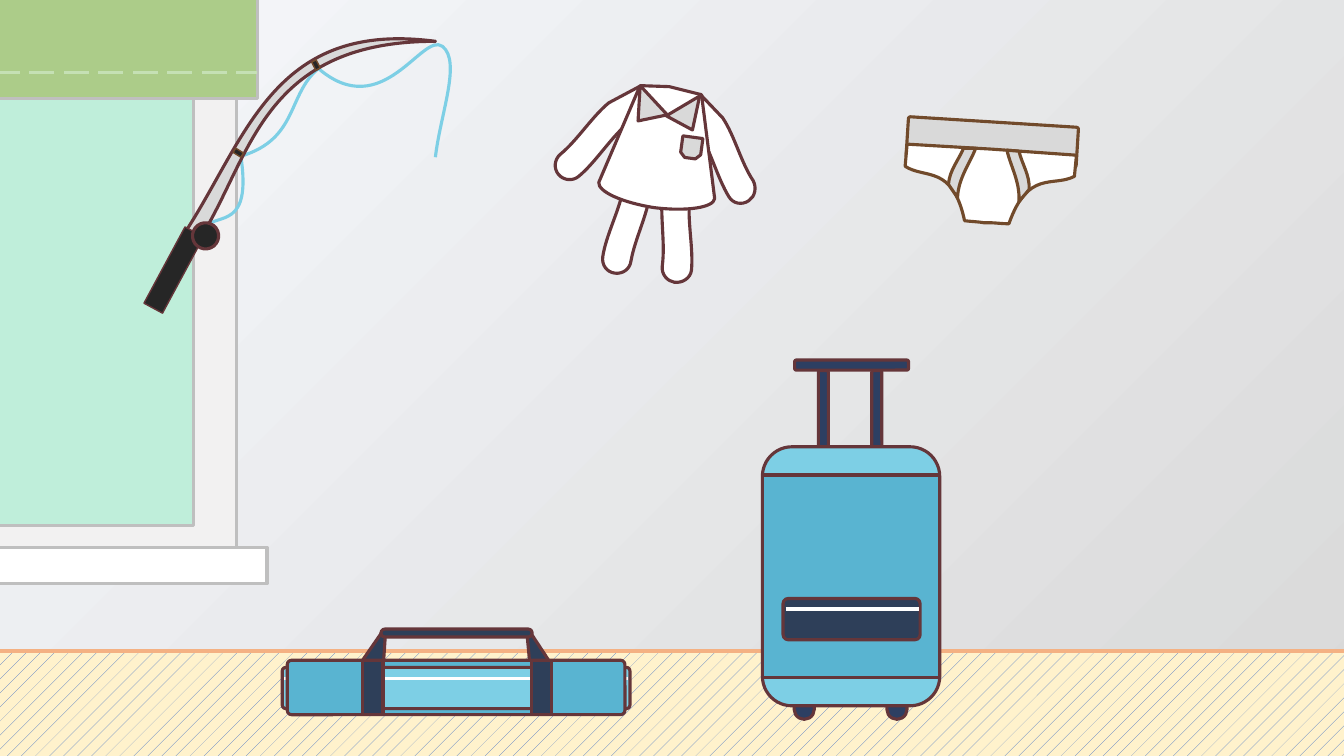
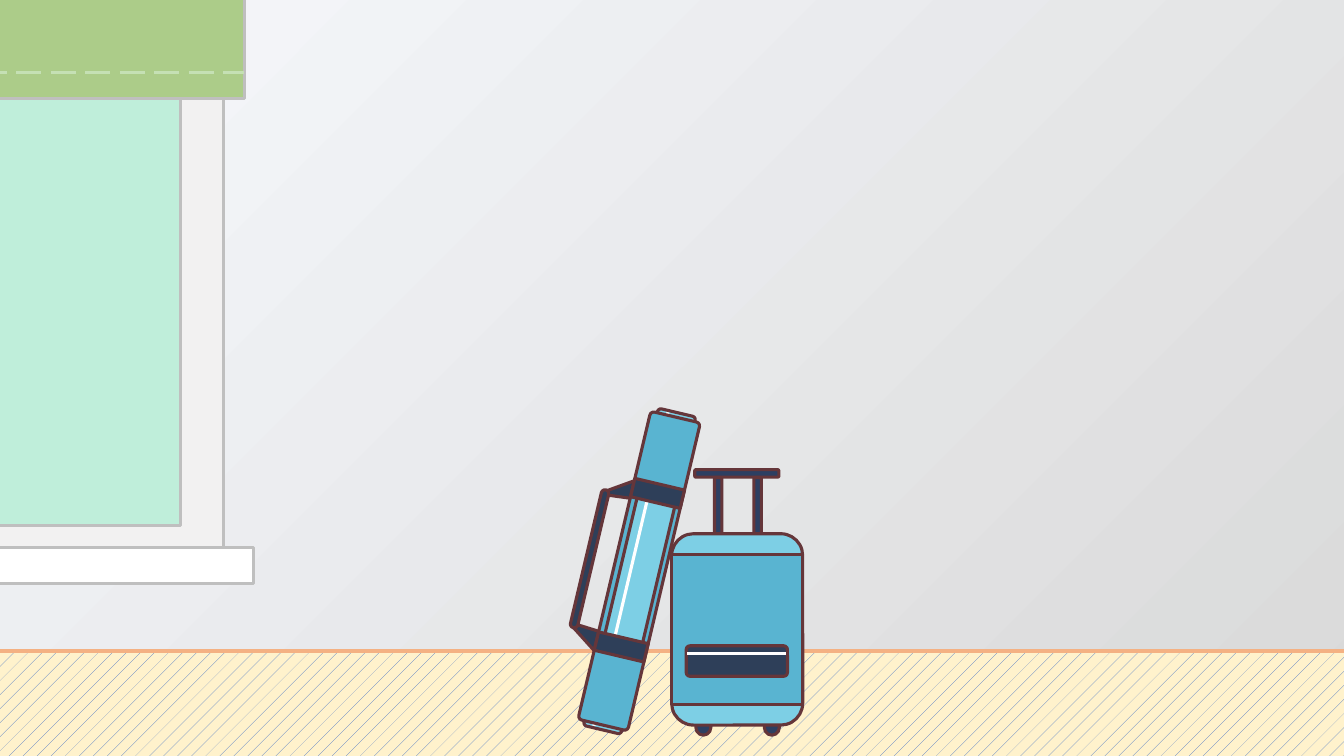
from math import cos, radians, sin

from lxml import etree
from pptx import Presentation
from pptx.dml.color import RGBColor
from pptx.enum import dml, shapes
from pptx.oxml.ns import qn
from pptx.util import Pt

KIND = shapes.MSO_SHAPE


class Theme:
    light, grey = "F6F8FC", "D9D9D9"
    trim, frame, glass = "BFBFBF", "F2F1F1", "BFEEDA"
    blind, stitch = "ACCC89", "C5E0B4"
    sand, speck, skirt = "FFF2CC", "4472C4", "F4B183"
    white, black = "FFFFFF", "262626"
    maroon, brown = "65363A", "714A2B"
    sky, blue, navy, indigo = "7DCFE5", "59B4D1", "2E3F59", "2D3F62"
    thin, pen, bold = 1, 2.25, 3


def rgb(code):
    return RGBColor.from_string(code)


class Art:
    """A group drawn in grid units; view is fitted to box, then turned."""

    def __init__(self, slide, box, view, ink, turn=0, flip=False):
        x, y, w, h = box
        gx, gy, gw, gh = view
        self.group = slide.shapes.add_group_shape().shapes
        self.mid = x + w / 2, y + h / 2
        self.hub = gx + gw / 2, gy + gh / 2
        self.unit, self.ink, self.turn = w / gw, ink, turn
        self.side = -1 if flip else 1

    def spot(self, x, y):
        """Slide position, in points, of a grid point."""
        dx = (x - self.hub[0]) * self.unit * self.side
        dy = (y - self.hub[1]) * self.unit
        c, s = cos(radians(self.turn)), sin(radians(self.turn))
        return self.mid[0] + dx * c - dy * s, self.mid[1] + dx * s + dy * c

    def dress(self, item, fill, width=Theme.pen, ink=None):
        item.shadow.inherit = False
        if fill:
            item.fill.solid()
            item.fill.fore_color.rgb = rgb(fill)
        else:
            item.fill.background()
        item.line.color.rgb = rgb(ink or self.ink)
        item.line.width = Pt(width)

    def block(self, x, y, w, h, fill, kind=KIND.RECTANGLE, adj=(), rot=0,
              **pen):
        cx, cy = self.spot(x + w / 2, y + h / 2)
        w, h = w * self.unit, h * self.unit
        item = self.group.add_shape(
            kind, Pt(cx - w / 2), Pt(cy - h / 2), Pt(w), Pt(h))
        for i, value in enumerate(adj):
            item.adjustments[i] = value
        item.rotation = (rot + self.turn) % 360
        self.dress(item, fill, **pen)

    def round(self, x, y, w, h, fill, adj=0.1667):
        self.block(x, y, w, h, fill, KIND.ROUNDED_RECTANGLE, (adj,))

    def rule(self, x1, x2, y, ink=Theme.white, dash=None):
        ends = [Pt(v) for p in ((x1, y), (x2, y)) for v in self.spot(*p)]
        item = self.group.add_connector(shapes.MSO_CONNECTOR.STRAIGHT, *ends)
        item.line.color.rgb = rgb(ink)
        item.line.width = Pt(Theme.pen)
        if dash:
            item.line.dash_style = dash
        etree.SubElement(item._element.spPr, qn("a:effectLst"))

    def trace(self, steps, fill=None):
        """Outline of points (2 numbers) and curves (6); closed if filled."""
        dots = [tuple(Pt(v) for v in self.spot(*step[-2:])) for step in steps]
        pen = self.group.build_freeform(*dots[0], scale=1.0)
        pen.add_line_segments(dots[1:], close=bool(fill))
        item = pen.convert_to_shape()
        nodes = list(item._element.iter(qn("a:lnTo")))
        for node, step in zip(nodes, steps[1:]):
            if len(step) == 6:
                self.bend(item, node, step)
        self.dress(item, fill)

    def bend(self, item, node, step):
        """Make one straight segment of a freeform a cubic curve."""
        curve = etree.Element(qn("a:cubicBezTo"))
        for i in (0, 2, 4):
            x, y = self.spot(*step[i:i + 2])
            etree.SubElement(curve, qn("a:pt"), x=str(Pt(x) - item.left),
                             y=str(Pt(y) - item.top))
        node.getparent().replace(node, curve)


def window(slide, box):
    art = Art(slide, box, (-493, -87, 757, 666), Theme.trim)
    art.block(-463, -50, 698, 609, Theme.frame)
    art.block(-493, 543, 758, 36, Theme.white)
    art.block(-101, -5, 293, 526, Theme.glass)
    art.block(-484, -87, 740, 185, Theme.blind)
    art.rule(-484, 255, 72, Theme.stitch, dml.MSO_LINE.LONG_DASH)


def floor(slide, box):
    item = slide.shapes.add_shape(KIND.RECTANGLE, *map(Pt, box))
    item.shadow.inherit = False
    item.fill.patterned()
    item.fill.pattern = dml.MSO_PATTERN.PERCENT_5
    item.fill.fore_color.rgb = rgb(Theme.speck)
    item.fill.back_color.rgb = rgb(Theme.sand)
    item.line.color.rgb = rgb(Theme.skirt)
    item.line.width = Pt(Theme.bold)


def room(deck):
    """A slide with only its wall."""
    slide = deck.slides.add_slide(deck.slide_layouts[6])
    wall = slide.background.fill
    wall.gradient()
    wall.gradient_angle = 315
    for stop, code in zip(wall.gradient_stops, (Theme.light, Theme.grey)):
        stop.color.rgb = rgb(code)
    return slide


def rod(slide, box):
    art = Art(slide, box, (142, 30, 310, 285), Theme.sky)
    art.trace([(204, 225), (216, 211, 250, 228, 239, 155),
               (296, 138, 285, 94, 316, 68), (380, 123, 419, 31, 439, 46),
               (458, 61, 437, 113, 432, 156)])
    art.ink = Theme.maroon
    art.trace([(432, 41), (430, 42, 432, 41, 430, 41),
               (227, 42, 251, 205, 164, 277), (157, 282), (177, 245),
               (175, 244), (186, 227), (246, 133, 274, 20, 432, 41)],
              Theme.grey)
    art.block(162, 225, 21, 86, Theme.black, rot=28.3, width=Theme.thin)
    art.block(191, 221, 26, 26, Theme.black, KIND.OVAL, rot=22.7)
    for x, y, rot in ((311, 60, 332.8), (234, 147, 301.8)):
        art.block(x, y, 5, 9, Theme.black, rot=rot, width=Theme.thin,
                  ink=Theme.brown)


def shirt(slide, box):
    art = Art(slide, box, (550, 80, 204, 204), Theme.maroon)
    legs = (
        [(667, 162), (702, 137), (702, 137), (703, 139, 703, 141, 703, 143),
         (699, 163, 688, 178, 684, 199), (682, 220, 688, 247, 686, 268),
         (685, 276, 677, 281, 669, 280), (662, 279, 656, 272, 657, 264),
         (660, 242, 655, 216, 657, 194)],
        [(644, 158), (617, 124), (617, 125), (616, 126, 615, 128, 615, 130),
         (613, 151, 620, 168, 618, 189), (614, 210, 601, 234, 598, 255),
         (597, 263, 602, 270, 610, 271), (618, 272, 625, 267, 626, 259),
         (630, 237, 642, 214, 645, 192)])
    arms = (
        [(634, 86), (677, 92), (677, 92), (676, 94, 675, 95, 673, 96),
         (656, 109, 638, 112, 621, 124), (605, 138, 590, 162, 574, 175),
         (568, 180, 559, 179, 554, 173), (549, 167, 550, 158, 556, 153),
         (573, 139, 587, 116, 604, 102)],
        [(653, 89), (696, 95), (717, 117), (729, 135, 735, 161, 747, 179),
         (751, 186, 749, 195, 743, 199), (736, 204, 727, 202, 723, 195),
         (712, 177, 705, 150, 694, 132), (682, 115, 665, 107, 653, 90)])
    body = [(635, 85), (664, 86), (696, 94), (709, 197),
            (708, 206, 681, 210, 649, 206), (617, 201, 593, 190, 594, 181),
            (635, 85)]
    for part in (*legs, *arms, body):
        art.trace(part, Theme.white)
    art.trace([(635, 87), (637, 87), (662, 114), (633, 120)], Theme.grey)
    art.trace([(693, 96), (694, 96), (687, 129), (661, 115)], Theme.grey)
    art.block(676, 136, 20, 21, Theme.grey, KIND.SNIP_2_SAME_RECTANGLE,
              (0, 0.234), 7.8)


def briefs(slide, box):
    art = Art(slide, box, (896, 114, 176, 110), Theme.brown)
    art.block(900, 121, 169, 40, Theme.grey, KIND.ROUNDED_RECTANGLE,
              (0.051,), 3.6)
    art.trace([(900, 143), (984, 148), (1068, 154), (1066, 175),
               (1045, 186, 1020, 168, 1001, 222),
               (993, 222, 987, 221, 982, 221), (979, 221), (976, 221),
               (971, 220, 965, 220, 957, 219),
               (945, 163, 918, 178, 898, 165)], Theme.white)
    art.trace([(999, 149), (1011, 150), (1014, 163, 1022, 174, 1021, 188),
               (1011, 200), (1012, 180, 1003, 166, 999, 149)], Theme.grey)
    art.trace([(968, 147), (956, 147), (951, 159, 942, 169, 941, 183),
               (950, 196), (951, 176, 962, 163, 968, 147)], Theme.grey)


def bag(slide, box, turn=0):
    art = Art(slide, box, (0, 0, 345, 85), Theme.maroon, turn)
    for x, w, h, rot in ((240, 21, 34, -19.3), (84, 22, 32, 19.3)):
        art.block(x, 4, w, h, Theme.navy, KIND.TRAPEZOID, (0.402,), rot)
    for x in (316, 0):
        art.round(x, 38, 29, 41, Theme.sky, 0.124)
        art.rule(x + 2, x + 27, 49)
    art.round(5, 31, 335, 54, Theme.blue, 0.078)
    art.round(94, 38, 157, 41, Theme.sky, 0.124)
    art.rule(94, 251, 49)
    for x in (80, 247):
        art.block(x, 31, 20, 54, Theme.navy)
    art.round(98, 0, 150, 8, Theme.navy, 0.5)


def trunk(slide, box, flip=False):
    """A wheeled suitcase."""
    art = Art(slide, box, (0, 0, 176, 357), Theme.maroon, flip=flip)
    art.round(32, 0, 113, 10, Theme.indigo)
    for x in (55.5, 108.5):
        art.round(x, 10.5, 10, 113, Theme.indigo)
    for x in (31.5, 123.5):
        art.round(x, 243.5, 20, 113, Theme.indigo, 0.5)
    art.round(0, 86, 176, 257, Theme.sky)
    art.round(0, 114, 176, 201, Theme.blue, 0)
    art.round(20.5, 236.5, 136, 41, Theme.navy, 0.124)
    art.rule(23, 155, 247)


def main():
    deck = Presentation()
    deck.slide_width, deck.slide_height = Pt(960), Pt(540)

    pack = room(deck)
    floor(pack, (-20, 465.1, 2270.9, 94.3))
    window(pack, (-355, -62.6, 545, 479.5))
    rod(pack, (102.2, 21.6, 223.2, 205.2))
    shirt(pack, (396, 57.6, 146.9, 146.9))
    briefs(pack, (645.1, 82.1, 126.7, 79.2))
    bag(pack, (201.6, 449.3, 248.4, 61.2))
    trunk(pack, (544.6, 257.2, 126.7, 257))

    ready = room(deck)
    window(ready, (-364.4, -62.6, 545, 479.5))
    floor(ready, (-38.9, 465.1, 2270.9, 94.3))
    bag(ready, (330, 376.8, 232.8, 57.4), -76.7)
    trunk(ready, (479.8, 335.5, 93.6, 189.9), flip=True)

    deck.save("out.pptx")


if __name__ == "__main__":
    main()
